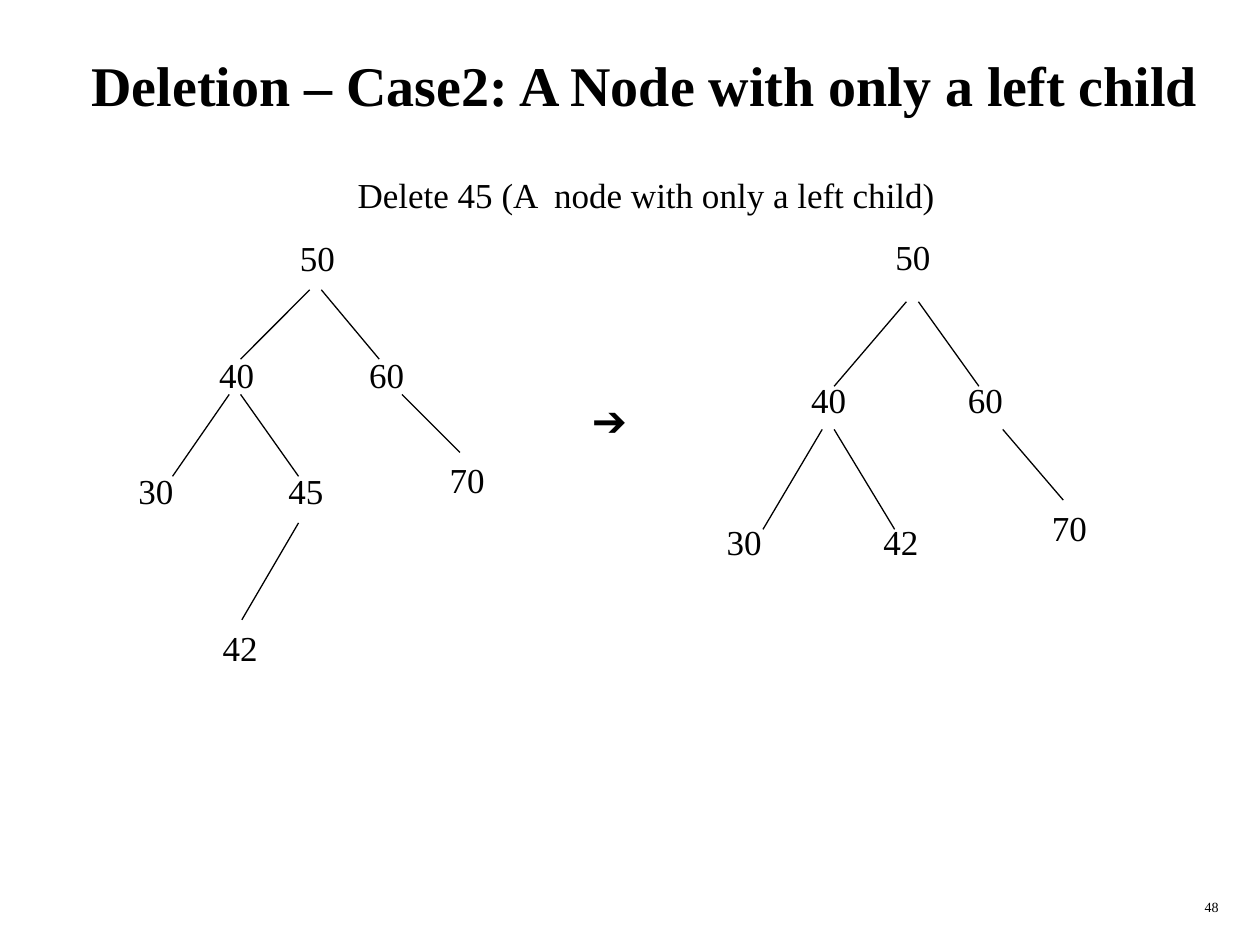
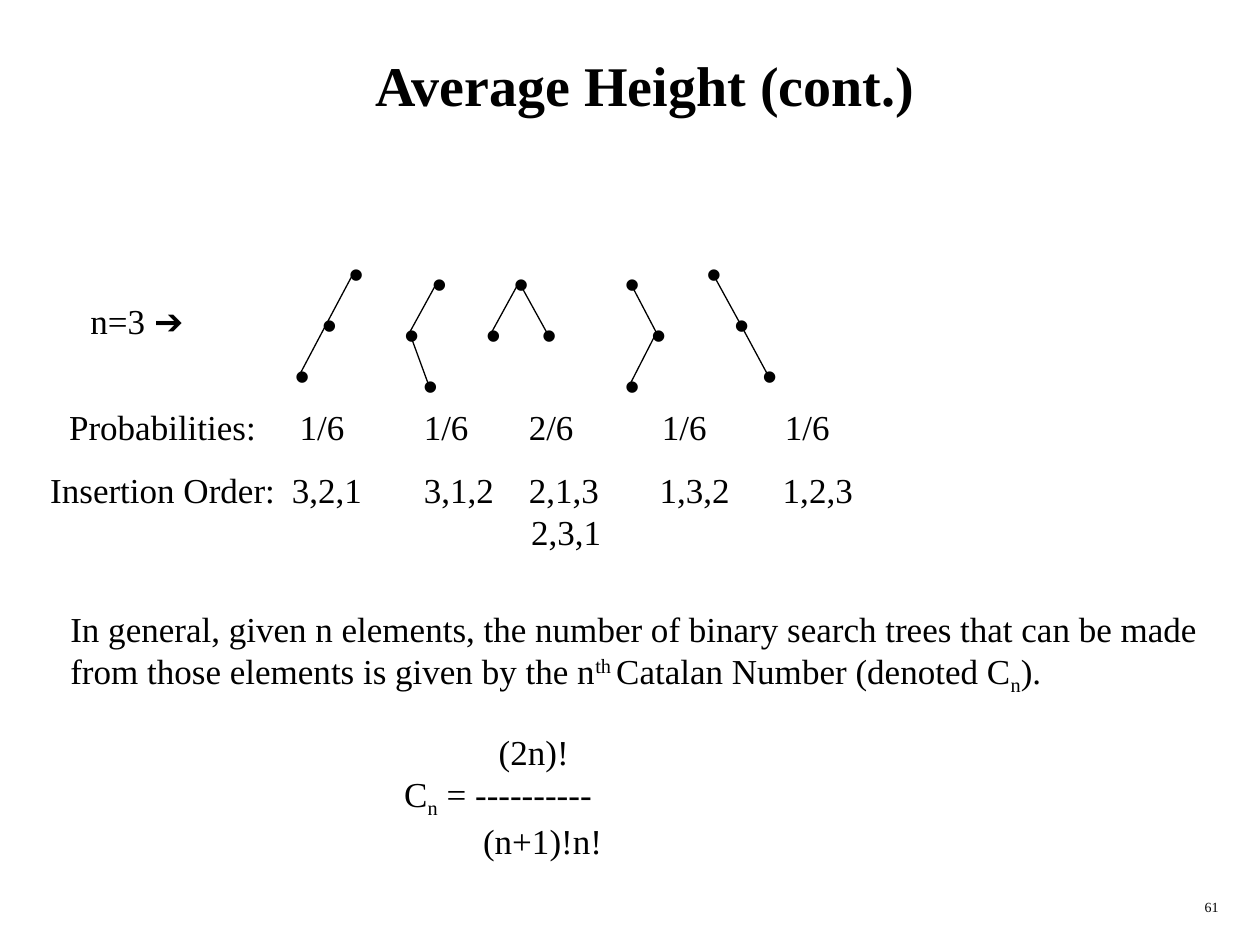
import pptx
import pptx.util
import pptx.dml.color
import pptx.enum.text
import pptx.enum.shapes
import pptx.oxml
import pptx.oxml.ns
from itertools import pairwise
from lxml import etree

Pt = pptx.util.Pt
ALIGN = pptx.enum.text.PP_ALIGN
COLORS = {"ink": "000000", "paper": "FFFFFF"}
SERIF, SANS = "Times New Roman", "Arial"
INSET = 7.2

DELETION = {
    "title": "Deletion – Case2: A Node with only a left child",
    "number": "48",
    "caption": "Delete 45 (A  node with only a left child)",
}
NODE_SPOTS = {
    "root": (164.2, 131.8),
    "left": (118.1, 198.7),
    "right": (203.8, 198.7),
    "left left": (72, 265),
    "left right": (157.7, 265),
    "right right": (249.8, 258.5),
    "leaf": (120.2, 354.2),
}
EDGES = {
    "left": ((177, 165.6), (137.5, 205.2)),
    "right": ((183.6, 165.6), (216.7, 205.2)),
    "right right": ((229.7, 225.4), (262.8, 258.5)),
    "left right": ((137.5, 225.4), (170.6, 272.2)),
    "left left": ((131, 225.4), (98.6, 272.2)),
    "leaf": ((170.6, 298.8), (138.2, 354.2)),
}
BEFORE = {"root": "50", "left": "40", "right": "60", "left left": "30",
          "left right": "45", "right right": "70", "leaf": "42"}
AFTER = {"root": "50", "left": "40", "right": "60", "left left": "30",
         "left right": "42", "right right": "70"}
TREES = [
    {"keys": BEFORE, "origin": (72, 131.8), "scale": (1, 1)},
    {"keys": AFTER, "origin": (408.2, 131.2), "scale": (1.045, 1.22)},
]

HEIGHT = {"title": "Average Height (cont.)", "number": "61"}
SHAPES_OF_THREE = [
    [(202.3, 155.5), (187, 184.3), (171.4, 213.8)],
    [(249.8, 161.3), (234, 190.1), (244.8, 219.6)],
    [(280.8, 190.1), (296.6, 161.3), (312.5, 190.1)],
    [(360, 161.3), (375.1, 190.1), (360, 219.6)],
    [(406.8, 155.5), (422.6, 184.3), (438.5, 213.8)],
]
ROWS = [
    {"box": (32.4, 228.2, 449.3, 31.5),
     "lines": ["Probabilities:\t1/6\t1/6\t2/6\t1/6\t1/6"],
     "stops": [[171.4, 242.3, 302.3, 378.3, 448.6]]},
    {"box": (21.6, 264.2, 473.8, 55.4),
     "lines": ["Insertion Order:\t3,2,1\t3,1,2\t2,1,3\t1,3,2\t1,2,3", "\t2,3,1"],
     "stops": [[166.9, 242.3, 302.3, 377.1, 447.4], [303.6]]},
]
GENERAL = [
    ("In general, given n elements, the number of binary search trees that can be made "
     "from those elements is given by the n", 0),
    ("th\u00a0", 30), ("Catalan Number (denoted C", 0), ("n", -25), (").", 0),
]
FORMULA = [
    (54, [("(2n)!", 0)]),
    (0, [("C", 0), ("n", -25), (" = ----------", 0)]),
    (45, [("(n+1)!n!", 0)]),
]


def color(name):
    return pptx.dml.color.RGBColor.from_string(COLORS[name])


def style(font, size=20, face=SERIF, bold=False):
    font.size, font.name, font.bold = Pt(size), face, bold
    font.color.rgb = color("ink")


def place(shape, left, top, width, height):
    shape.left, shape.top, shape.width, shape.height = map(Pt, (left, top, width, height))


def add_text(page, area, lines, size=20, face=SERIF, align=ALIGN.LEFT, wrap=False):
    box = page.shapes.add_textbox(*map(Pt, area))
    frame = box.text_frame
    frame.word_wrap = wrap
    for index, line in enumerate(lines):
        para = frame.paragraphs[0] if index == 0 else frame.add_paragraph()
        para.alignment = align
        style(para.font, size, face)
        for text, baseline in [(line, 0)] if isinstance(line, str) else line:
            span = para.add_run()
            span.text = text
            if baseline:
                span._r.get_or_add_rPr().set("baseline", str(baseline * 1000))
    return box


def add_line(page, start, end):
    line = page.shapes.add_connector(
        pptx.enum.shapes.MSO_CONNECTOR.STRAIGHT, *map(Pt, start + end))
    line.line.color.rgb = color("ink")
    line.line.width = Pt(0.74)
    etree.SubElement(line._element.spPr, pptx.oxml.ns.qn("a:effectLst"))


def set_tab_stops(para, positions):
    tabs = pptx.oxml.parse_xml(f'<a:tabLst {pptx.oxml.ns.nsdecls("a")}/>')
    for position in positions:
        etree.SubElement(tabs, pptx.oxml.ns.qn("a:tab"), pos=str(Pt(position)), algn="l")
    properties = para._p.get_or_add_pPr()
    fonts = properties.find(pptx.oxml.ns.qn("a:defRPr"))
    if fonts is None:
        properties.append(tabs)
    else:
        fonts.addprevious(tabs)


def add_page(deck, content):
    page = deck.slides.add_slide(deck.slide_layouts[5])
    page.background.fill.solid()
    page.background.fill.fore_color.rgb = color("paper")
    title = page.shapes.title
    place(title, 28.1, 12.2, 681.1, 72)
    title.text_frame.text = content["title"]
    title.text_frame.auto_size = pptx.enum.text.MSO_AUTO_SIZE.NONE
    title.text_frame.vertical_anchor = pptx.enum.text.MSO_ANCHOR.MIDDLE
    para = title.text_frame.paragraphs[0]
    para.alignment = ALIGN.CENTER
    style(para.font, 32, bold=True)
    add_text(page, (553.7, 509.8, 149.8, 18), [content["number"]], 8,
             align=ALIGN.RIGHT, wrap=True)
    return page


def add_tree(page, keys, origin, scale):
    base = TREES[0]["origin"]

    def moved(point):
        return tuple(o + (p - b) * s for o, p, b, s in zip(origin, point, base, scale))

    for spot, (start, end) in EDGES.items():
        if spot in keys:
            add_line(page, moved(start), moved(end))
    for spot, key in keys.items():
        add_text(page, moved(NODE_SPOTS[spot]) + (34.6, 31.5), [key])


deck = pptx.Presentation()
deck.slide_width, deck.slide_height = Pt(720), Pt(540)

page = add_page(deck, DELETION)
add_text(page, (197.3, 95.8, 345.6, 31.5), [DELETION["caption"]])
for tree in TREES:
    add_tree(page, **tree)
add_text(page, (331.2, 221.8, 38.2, 36), ["➔"], 24, SANS)

page = add_page(deck, HEIGHT)
for points in SHAPES_OF_THREE:
    for start, end in pairwise(points):
        add_line(page, start, end)
    for x, y in points:
        add_text(page, (x - 10, y - 17.5, 24.5, 36), ["•"], 24, SANS)

label = add_text(page, (44.6, 167.8, 70.6, 31.5), [[("n=3 ", 0), ("➔", 0)]])
label.text_frame.paragraphs[0].runs[1].font.name = SANS

for row in ROWS:
    box = add_text(page, row["box"], row["lines"], wrap=True)
    for para, stops in zip(box.text_frame.paragraphs, row["stops"]):
        set_tab_stops(para, [stop - row["box"][0] - INSET for stop in stops])

add_text(page, (33.1, 343.4, 662.4, 59), [GENERAL], wrap=True)
box = add_text(page, (223.9, 413.7, 145.4, 107.6), [spans for _, spans in FORMULA], wrap=True)
for para, (indent, _) in zip(box.text_frame.paragraphs, FORMULA):
    para._p.get_or_add_pPr().set("marL", str(Pt(indent)))

deck.save("out.pptx")
